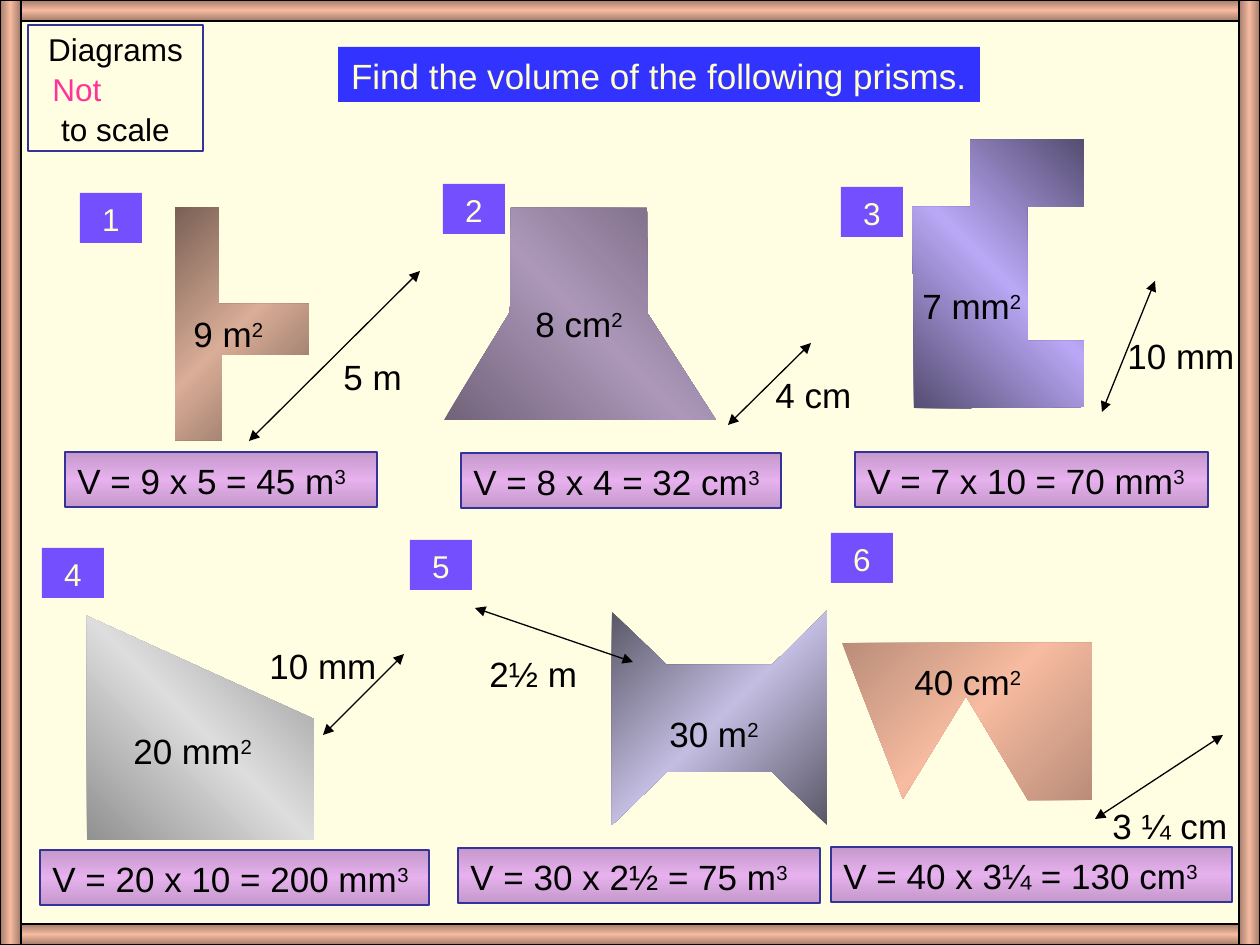
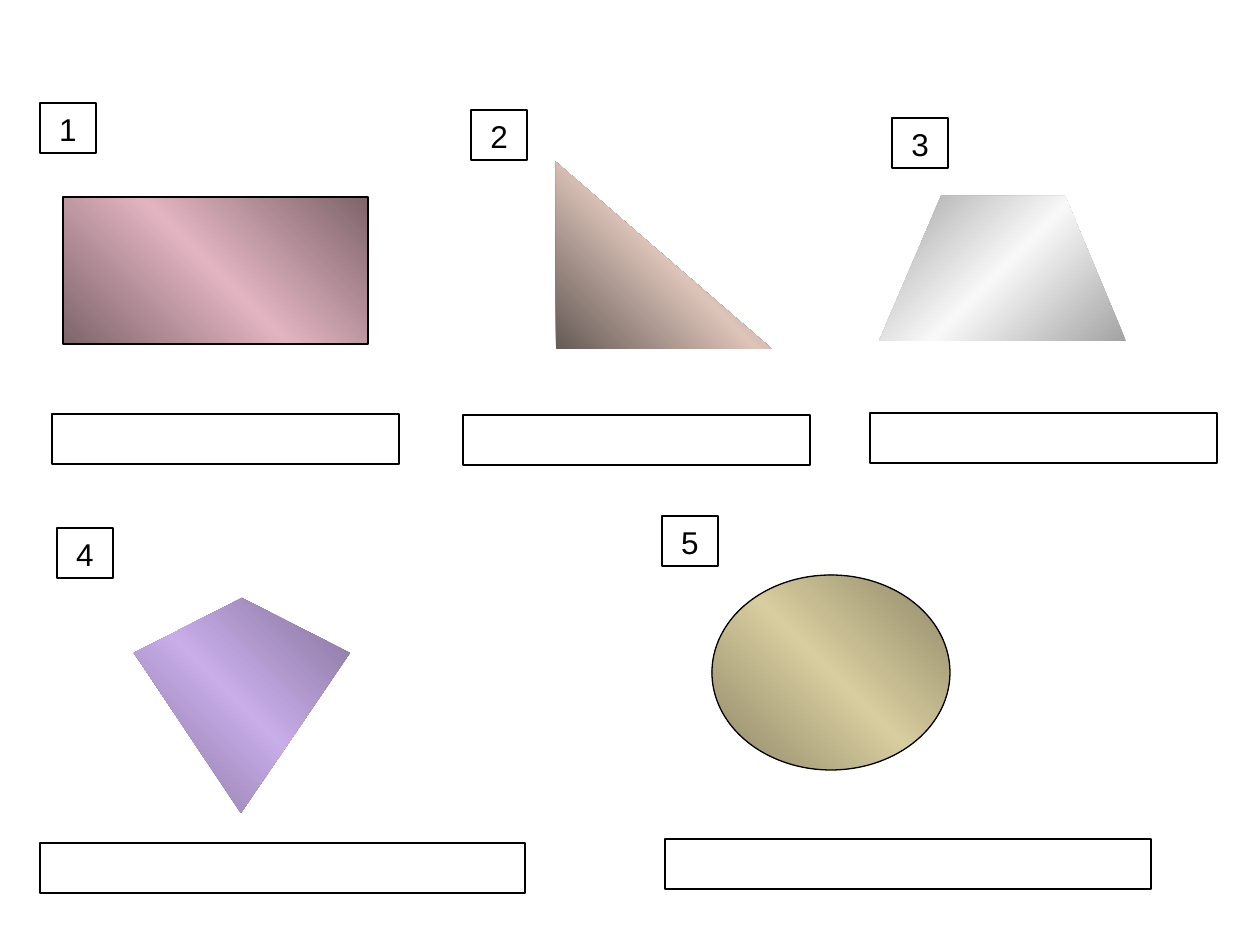
from copy import deepcopy
from dataclasses import dataclass

from lxml.etree import SubElement
from pptx import Presentation
from pptx.dml.color import RGBColor
from pptx.enum.shapes import MSO_CONNECTOR, MSO_SHAPE
from pptx.enum.text import MSO_ANCHOR, MSO_AUTO_SIZE, PP_ALIGN
from pptx.oxml.ns import qn
from pptx.util import Pt

PX = 914400 / 126
WIDTH, HEIGHT, FRAME = 1260, 945, 21
RISING, FALLING = 135, 45
TITLE_ONLY, BLANK = 5, 6


@dataclass(frozen=True)
class Theme:
    font: str = "Arial"
    text_size: int = 20
    small_size: int = 18
    hairline: float = 0.75
    line_spacing: float = 1.05
    ink: str = "000000"
    paper: str = "FFFEE3"
    white: str = "FFFFFF"
    cream: str = "FFFFCC"
    title_band: str = "3333FF"
    badge: str = "744FFD"
    border: str = "333399"
    emphasis: str = "FF3399"
    copper: tuple = ("A27B69", "F6BBA0")
    orchid: tuple = ("C598CB", "E6B1ED")


THEME = Theme()


@dataclass(frozen=True)
class Prism:
    badge: tuple
    outline: tuple
    shades: tuple
    sheen: int
    area: str
    area_at: tuple
    arrow: tuple
    length: str
    length_at: tuple
    volume: str
    volume_box: tuple


PRISMS = (
    Prism((80, 193),
          ((175, 440), (175, 207), (219, 207), (219, 304),
           (309, 304), (309, 355), (222, 355), (222, 440)),
          ("796054", "D9AD97"), RISING, "9 m", (181, 305),
          ((249, 441), (420, 271)), "5 m", (331, 348),
          "V = 9 x 5 = 45 m", (65, 452, 312)),
    Prism((443, 184),
          ((444, 420), (716, 420), (648, 314), (647, 208), (511, 208), (510, 312)),
          ("71637A", "AC97B9"), FALLING, "8 cm", (523, 295),
          ((728, 425), (811, 343)), "4 cm", (763, 366),
          "V = 8 x 4 = 32 cm", (461, 453, 320)),
    Prism((841, 187),
          ((1084, 139), (970, 140), (970, 207), (912, 207), (914, 340), (914, 408),
           (970, 408), (1084, 407), (1084, 341), (1028, 341), (1027, 207), (1084, 207)),
          ("554D71", "B9A8F6"), FALLING, "7 mm", (910, 277),
          ((1102, 412), (1155, 281)), "10 mm", (1115, 327),
          "V = 7 x 10 = 70 mm", (855, 452, 353)),
    Prism((42, 548),
          ((87, 616), (87, 840), (314, 840), (314, 719)),
          ("919191", "DDDDDD"), FALLING, "20 mm", (121, 722),
          ((323, 735), (404, 654)), "10 mm", (257, 637),
          "V = 20 x 10 = 200 mm", (40, 850, 389)),
    Prism((410, 540),
          ((827, 611), (827, 825), (772, 772), (667, 772),
           (612, 825), (612, 612), (667, 665), (772, 665)),
          ("595767", "C3BDE1"), RISING, "30 m", (657, 705),
          ((475, 608), (633, 662)), "2½ m", (477, 645),
          "V = 30 x 2½ = 75 m", (458, 848, 362)),
    Prism((831, 533),
          ((1092, 643), (842, 643), (903, 799), (966, 696), (1028, 800), (1092, 800)),
          ("BA8D79", "F6BBA0"), RISING, "40 cm", (902, 653),
          ((1095, 819), (1223, 735)), "3 ¼ cm", (1100, 797),
          "V = 40 x 3¼ = 130 cm", (831, 847, 401)),
)

WORKSHEET_BADGES = ((40, 103), (471, 110), (892, 118), (57, 528), (662, 516))
ANSWER_BOXES = ((52, 414, 347), (463, 415, 347), (870, 413, 347),
                (40, 843, 485), (665, 839, 486))
TRAPEZIUM = ((879, 341), (1126, 341), (1065, 196), (941, 196))
KITE = ((242, 598), (134, 653), (241, 813), (350, 653))


def emu(*lengths):
    return [round(length * PX) for length in lengths]


def rgb(colour):
    return RGBColor.from_string(colour)


def apply(target, **formats):
    for attribute, value in formats.items():
        setattr(target, attribute, value)


def paint(shape, fill=None, border=None, sheen=FALLING):
    if isinstance(fill, tuple):
        edge, middle = fill
        shape.fill.gradient()
        shape.fill.gradient_angle = sheen
        stop_list = shape._element.spPr.find(qn("a:gradFill")).find(qn("a:gsLst"))
        stop_list.insert(1, deepcopy(stop_list[0]))
        for stop, position, colour in zip(
                shape.fill.gradient_stops, (0, 0.5, 1), (edge, middle, edge)):
            stop.position = position
            stop.color.rgb = rgb(colour)
    elif fill:
        shape.fill.solid()
        shape.fill.fore_color.rgb = rgb(fill)
    else:
        shape.fill.background()
    if border:
        shape.line.color.rgb = rgb(border)
        shape.line.width = Pt(THEME.hairline)
    else:
        shape.line.fill.background()


def add_panel(slide, box, fill=None, border=None, sheen=FALLING,
              outline=MSO_SHAPE.RECTANGLE):
    panel = slide.shapes.add_shape(outline, *emu(*box))
    panel.shadow.inherit = False
    paint(panel, fill, border, sheen)
    return panel


def add_polygon(slide, corners, shades, sheen):
    builder = slide.shapes.build_freeform(*corners[0], scale=PX)
    builder.add_line_segments(corners[1:], close=True)
    polygon = builder.convert_to_shape()
    polygon.shadow.inherit = False
    paint(polygon, shades, sheen=sheen)


def add_run(paragraph, words, size, colour, power=None):
    for text, raised in ((words, False), (power, True)):
        if text:
            run = paragraph.add_run()
            run.text = text
            apply(run.font, name=THEME.font, size=Pt(size), bold=False)
            run.font.color.rgb = rgb(colour)
            if raised:
                run.font._element.set("baseline", "30000")


def write(shape, words, size=THEME.text_size, colour=THEME.ink,
          align=PP_ALIGN.LEFT, power=None, wrap=True):
    apply(shape.text_frame, word_wrap=wrap, auto_size=MSO_AUTO_SIZE.NONE,
          vertical_anchor=MSO_ANCHOR.MIDDLE)
    paragraph = shape.text_frame.paragraphs[0]
    apply(paragraph, alignment=align, line_spacing=THEME.line_spacing,
          space_before=Pt(0))
    add_run(paragraph, words, size, colour, power)


def add_label(slide, words, at, power=None):
    label = slide.shapes.add_textbox(*emu(*at, 174, 55))
    write(label, words, power=power)


def add_badge(slide, number, at, width, colour, fill=None, border=None):
    badge = add_panel(slide, (*at, width, 50), fill, border)
    write(badge, str(number), THEME.small_size, colour, PP_ALIGN.CENTER)


def add_arrow(slide, start, end):
    arrow = slide.shapes.add_connector(MSO_CONNECTOR.STRAIGHT, *emu(*start, *end))
    arrow.line.color.rgb = rgb(THEME.ink)
    arrow.line.width = Pt(THEME.hairline)
    properties = arrow._element.spPr
    for tip in ("a:headEnd", "a:tailEnd"):
        SubElement(properties.find(qn("a:ln")), qn(tip), type="triangle")
    SubElement(properties, qn("a:effectLst"))


def add_frame(slide):
    for top in (HEIGHT - FRAME, 0):
        add_panel(slide, (0, top, WIDTH, FRAME), THEME.copper, THEME.ink, 90)
    for left in (WIDTH - FRAME, 0):
        add_panel(slide, (left, 0, FRAME, HEIGHT), THEME.copper, THEME.ink, 0)


def add_title(slide, words, box):
    title = slide.shapes.title
    apply(title, **dict(zip(("left", "top", "width", "height"), emu(*box))))
    paint(title, THEME.title_band)
    write(title, words, colour=THEME.cream, align=PP_ALIGN.CENTER, wrap=False)


def add_scale_notice(slide):
    notice = add_panel(slide, (28, 25, 175, 126), border=THEME.border)
    write(notice, "Diagrams", THEME.small_size, align=PP_ALIGN.CENTER)
    for words, colour, align in (("Not", THEME.emphasis, PP_ALIGN.LEFT),
                                 ("to scale", THEME.ink, PP_ALIGN.CENTER)):
        paragraph = notice.text_frame.add_paragraph()
        apply(paragraph, alignment=align, line_spacing=THEME.line_spacing,
              space_before=Pt(0))
        if align == PP_ALIGN.LEFT:
            paragraph._p.get_or_add_pPr().set("marL", str(emu(12)[0]))
        add_run(paragraph, words, THEME.small_size, colour)


def add_prism(slide, number, prism):
    add_polygon(slide, prism.outline, prism.shades, prism.sheen)
    add_label(slide, prism.area, prism.area_at, "2")
    add_arrow(slide, *prism.arrow)
    add_label(slide, prism.length, prism.length_at)
    volume = add_panel(slide, (*prism.volume_box, 55), THEME.orchid, THEME.border, 90)
    write(volume, prism.volume, power="3")
    add_badge(slide, number, prism.badge, 62, THEME.cream, THEME.badge)


def add_slide(deck, layout, background):
    slide = deck.slides.add_slide(deck.slide_layouts[layout])
    slide.background.fill.solid()
    slide.background.fill.fore_color.rgb = rgb(background)
    return slide


def build_volumes(deck):
    slide = add_slide(deck, TITLE_ONLY, THEME.paper)
    add_title(slide, "Find the volume of the following prisms.", (338, 47, 642, 55))
    add_frame(slide)
    add_scale_notice(slide)
    for number, prism in enumerate(PRISMS, 1):
        add_prism(slide, number, prism)


def build_worksheet(deck):
    slide = add_slide(deck, BLANK, THEME.white)
    add_panel(slide, (63, 197, 305, 147), ("7E646B", "E2B4C1"), THEME.ink)
    add_panel(slide, (556, 162, 216, 187), ("655A55", "DDC4B9"),
              outline=MSO_SHAPE.RIGHT_TRIANGLE)
    add_polygon(slide, TRAPEZIUM, ("A3A3A3", "F8F8F8"), RISING)
    add_polygon(slide, KITE, ("847299", "C8ADE9"), FALLING)
    add_panel(slide, (712, 575, 238, 195), ("8E8768", "D8CD9E"), THEME.ink,
              outline=MSO_SHAPE.OVAL)
    for box in ANSWER_BOXES:
        add_panel(slide, (*box, 50), border=THEME.ink)
    for number, at in enumerate(WORKSHEET_BADGES, 1):
        add_badge(slide, number, at, 56, THEME.ink, border=THEME.ink)


def main():
    deck = Presentation()
    deck.slide_width, deck.slide_height = emu(WIDTH, HEIGHT)
    build_volumes(deck)
    build_worksheet(deck)
    deck.save("out.pptx")


if __name__ == "__main__":
    main()
